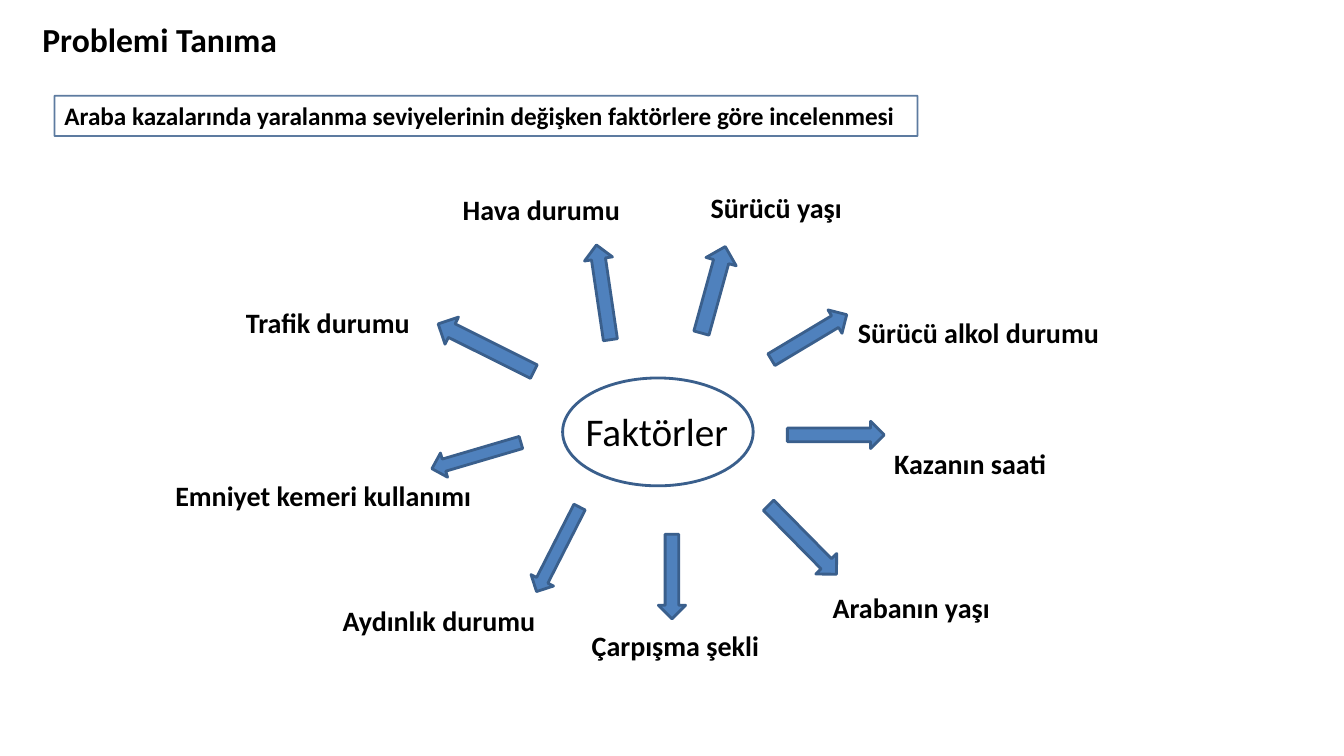
import lxml.etree
import pptx
import pptx.dml.color
import pptx.enum.shapes
import pptx.enum.text
import pptx.oxml.ns
import pptx.util
from dataclasses import dataclass

SHAPES = pptx.enum.shapes.MSO_SHAPE
ANCHOR = pptx.enum.text.MSO_ANCHOR
RIGHT, DOWN = SHAPES.RIGHT_ARROW, SHAPES.DOWN_ARROW


@dataclass(frozen=True)
class Theme:
    font: str = "Calibri"
    text: str = "000000"
    arrow: str = "4F81BD"
    outline: str = "3A5F8C"
    title_size: int = 24
    topic_size: int = 18
    center_size: int = 28
    label_size: int = 20
    outline_width: float = 2
    topic_outline_width: float = 1.25
    topic_outline_opacity: int = 82


THEME = Theme()

# All lengths are in grid cells; the slide is 75 rows high.
ROWS = 75
SLIDE_HEIGHT = pptx.util.Inches(7.5)
SLIDE_WIDTH = pptx.util.Inches(13.33)
LABEL_HEIGHT = 4.4

TITLE = ("Problemi Tanıma", (3.2, 1.3, 48.2, 5.7))
TOPIC = ("Araba kazalarında yaralanma seviyelerinin değişken faktörlere göre incelenmesi",
         (5.4, 9.5, 85.6, 4))
CENTER = ("Faktörler", (57.1, 39.9, 16.3, 5.7))
CENTER_OVAL = (55.8, 37.5, 18.9, 10.7)

# Label, its (left, top, width), arrow shape, its unrotated box, clockwise degrees
FACTORS = [
    ("Sürücü alkol durumu", (84.1, 30.8, 26.2), RIGHT, (75.9, 32.1, 8.7, 2.7), 329.1),
    ("Kazanın saati", (87.7, 43.8, 17.2), RIGHT, (78.1, 41.8, 9.6, 2.7), 0),
    ("Sürücü yaşı", (69.5, 18.4, 15.2), RIGHT, (66.3, 27.2, 8.9, 3.1), 285.4),
    ("Arabanın yaşı", (81.6, 58.1, 17.7), RIGHT, (74.8, 52.1, 9.6, 2.9), 45.4),
    ("Hava durumu", (44.9, 18.6, 17.8), RIGHT, (55.1, 27.6, 9.5, 2.8), 261.6),
    ("Çarpışma şekli", (57.7, 61.9, 18.8), DOWN, (65.3, 53, 2.7, 8.4), 0),
    ("Aydınlık durumu", (33, 59.4, 21.3), DOWN, (54.1, 49.8, 2.5, 9.4), 27),
    ("Emniyet kemeri kullanımı", (16.4, 47, 31.6), DOWN, (46, 40.6, 2.5, 9.2), 73.6),
    ("Trafik durumu", (23.4, 29.8, 19.1), DOWN, (46.7, 29.2, 3, 10.6), 116.5),
]


def color(value):
    return pptx.dml.color.RGBColor.from_string(value)


def cells(box):
    return [round(length * SLIDE_HEIGHT / ROWS) for length in box]


def write(shape, text, size, bold=True, wrap=False, anchor=ANCHOR.TOP):
    frame = shape.text_frame
    frame.text = text
    frame.word_wrap = wrap
    frame.vertical_anchor = anchor
    paragraph = frame.paragraphs[0]
    paragraph.alignment = pptx.enum.text.PP_ALIGN.LEFT
    paragraph.font.name = THEME.font
    paragraph.font.size = pptx.util.Pt(size)
    paragraph.font.bold = bold
    paragraph.font.color.rgb = color(THEME.text)
    return paragraph


def add_text(slide, text, box, size, bold=True):
    write(slide.shapes.add_textbox(*cells(box)), text, size, bold)


def add_outlined(slide, kind, box, fill=None, width=THEME.outline_width):
    shape = slide.shapes.add_shape(kind, *cells(box))
    shape.shadow.inherit = False
    if fill:
        shape.fill.solid()
        shape.fill.fore_color.rgb = color(fill)
    else:
        shape.fill.background()
    shape.line.color.rgb = color(THEME.outline)
    shape.line.width = pptx.util.Pt(width)
    return shape


def set_line_opacity(shape, percent):
    line_color = shape.line._get_or_add_ln().find(".//" + pptx.oxml.ns.qn("a:srgbClr"))
    alpha = lxml.etree.SubElement(line_color, pptx.oxml.ns.qn("a:alpha"))
    alpha.set("val", str(percent * 1000))


def add_title(slide):
    text, box = TITLE
    title = slide.shapes.title
    title.left, title.top, title.width, title.height = cells(box)
    paragraph = write(title, text, THEME.title_size, wrap=True, anchor=ANCHOR.MIDDLE)
    paragraph.line_spacing = 0.9


def add_topic(slide):
    text, box = TOPIC
    topic = add_outlined(slide, SHAPES.RECTANGLE, box, width=THEME.topic_outline_width)
    set_line_opacity(topic, THEME.topic_outline_opacity)
    write(topic, text, THEME.topic_size, wrap=True)


def add_factors(slide):
    add_outlined(slide, SHAPES.OVAL, CENTER_OVAL)
    add_text(slide, *CENTER, THEME.center_size, bold=False)
    for label, place, kind, arrow_box, degrees in FACTORS:
        arrow = add_outlined(slide, kind, arrow_box, THEME.arrow)
        arrow.rotation = degrees
        add_text(slide, label, (*place, LABEL_HEIGHT), THEME.label_size)


def main():
    presentation = pptx.Presentation()
    presentation.slide_width = SLIDE_WIDTH
    presentation.slide_height = SLIDE_HEIGHT
    title_only = presentation.slide_layouts.get_by_name("Title Only")
    slide = presentation.slides.add_slide(title_only)
    add_title(slide)
    add_topic(slide)
    add_factors(slide)
    presentation.save("out.pptx")


if __name__ == "__main__":
    main()
